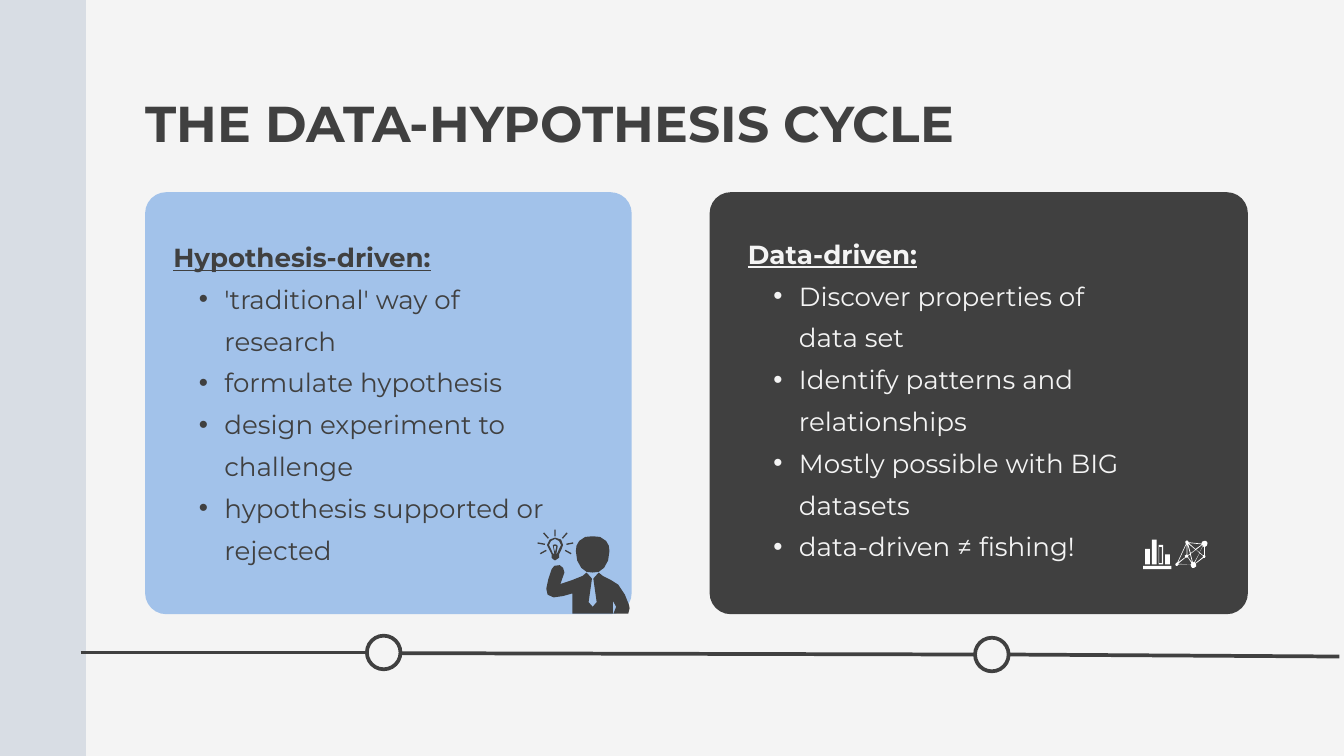
import math

from lxml import etree
from pptx import Presentation
from pptx import util as u
from pptx.dml.color import RGBColor
from pptx.enum import shapes, text
from pptx.oxml.ns import qn

DARK, LIGHT, BLUE, WHITE, BAND = "404040", "F4F4F4", "A2C2EA", "FFFFFF", "D3D9E2"
FONT = "Montserrat"
MSO = shapes.MSO_SHAPE


def rgb(color):
    return RGBColor.from_string(color)


def bar(left, top, right, bottom):
    return [(left, top), (right, top), (right, bottom), (left, bottom)]


def ray(start, end, half=0.01):
    """Thin four-cornered stroke between two points."""
    (x1, y1), (x2, y2) = start, end
    size = math.hypot(x2 - x1, y2 - y1)
    dx, dy = half * (y1 - y2) / size, half * (x2 - x1) / size
    return [(x1 + dx, y1 + dy), (x2 + dx, y2 + dy), (x2 - dx, y2 - dy), (x1 - dx, y1 - dy)]


def turn(point, center, degrees):
    a = math.radians(degrees)
    dx, dy = point[0] - center[0], point[1] - center[1]
    return (center[0] + dx * math.cos(a) - dy * math.sin(a),
            center[1] + dx * math.sin(a) + dy * math.cos(a))


class Deck:
    """Holds the presentation, its current slide and the shared style."""

    def __init__(self, width, height):
        self.prs = Presentation()
        self.prs.slide_width, self.prs.slide_height = u.Inches(width), u.Inches(height)

    def add_slide(self, background):
        self.s = self.prs.slides.add_slide(self.prs.slide_layouts[5])
        fill = self.s.background.fill
        fill.solid()
        fill.fore_color.rgb = rgb(background)

    def paint(self, sp, fill=None, line=None, weight=1, alpha=None):
        sp.shadow.inherit = False
        if fill:
            sp.fill.solid()
            sp.fill.fore_color.rgb = rgb(fill)
        else:
            sp.fill.background()
        if alpha:
            clr = sp.fill._xPr.find(".//" + qn("a:srgbClr"))
            etree.SubElement(clr, qn("a:alpha"), val=str(alpha * 1000))
        if line:
            sp.line.color.rgb = rgb(line)
            sp.line.width = u.Pt(weight)
        else:
            sp.line.fill.background()

    def shape(self, kind, box, corner=None, **style):
        sp = self.s.shapes.add_shape(kind, *map(u.Inches, box))
        if corner is not None:
            sp.adjustments[0] = corner
        self.paint(sp, **style)

    def icon(self, contours, fill):
        """One freeform of several contours; inner contours are holes."""
        paths = [[(u.Inches(x), u.Inches(y)) for x, y in c] for c in contours]
        builder = self.s.shapes.build_freeform(*paths[0][0])
        for i, pts in enumerate(paths):
            if i:
                builder.move_to(*pts[0])
            builder.add_line_segments(pts[1:], close=True)
        sp = builder.convert_to_shape()
        self.paint(sp, fill=fill)
        return sp

    def line(self, start, end, color, weight):
        cx = self.s.shapes.add_connector(
            shapes.MSO_CONNECTOR.STRAIGHT, *map(u.Inches, (*start, *end)))
        cx.line.color.rgb = rgb(color)
        cx.line.width = u.Pt(weight)
        etree.SubElement(cx._element.spPr, qn("a:effectLst"))

    def frame(self, sp):
        """Strip the margins of a text shape and return its text frame."""
        tf = sp.text_frame
        tf.word_wrap = True
        tf.auto_size = text.MSO_AUTO_SIZE.NONE
        tf.vertical_anchor = text.MSO_ANCHOR.TOP
        tf.margin_left = tf.margin_right = tf.margin_top = tf.margin_bottom = 0
        return tf

    def format(self, p, size, color, spacing, bold=False, underline=False):
        p.alignment = text.PP_ALIGN.LEFT
        p.line_spacing = u.Pt(spacing)
        for r in p.runs:
            r.font.name, r.font.size = FONT, u.Pt(size)
            r.font.bold, r.font.underline = bold, underline
            r.font.color.rgb = rgb(color)

    def title(self, words, box):
        sp = self.s.shapes.title
        sp.left, sp.top, sp.width, sp.height = map(u.Inches, box)
        p = self.frame(sp).paragraphs[0]
        p.text = words
        self.format(p, 54, DARK, 78.1, bold=True)

    def bullet_list(self, heading, items, box, color):
        tf = self.frame(self.s.shapes.add_textbox(*map(u.Inches, box)))
        p = tf.paragraphs[0]
        p.text = heading
        self.format(p, 28, color, 50.4, bold=True, underline=True)
        for item in items:
            p = tf.add_paragraph()
            p.text = item
            p.level = 1
            pPr = p._p.get_or_add_pPr()
            pPr.set("marL", str(u.Inches(0.76)))
            pPr.set("indent", str(u.Inches(-0.38)))
            etree.SubElement(pPr, qn("a:buFont"), typeface="Arial")
            etree.SubElement(pPr, qn("a:buChar"), char="•")
            self.format(p, 28, color, 44.8)


def draw_thinker(deck):
    body = [
        (9.36, 9), (9.3, 8.85), (9.2, 8.7), (9.09, 8.63), (8.97, 8.57), (8.91, 8.52),
        (8.83, 8.61), (8.88, 8.96), (8.82, 9.03), (8.76, 8.96), (8.81, 8.61),
        (8.73, 8.52), (8.67, 8.57), (8.52, 8.63), (8.34, 8.69), (8.4, 8.52),
        (8.38, 8.45), (8.33, 8.41), (8.25, 8.42), (8.21, 8.47), (8.16, 8.62),
        (8.13, 8.76), (8.15, 8.85), (8.24, 8.89), (8.38, 8.87), (8.52, 8.83),
        (8.52, 9.13), (9.12, 9.13), (9.12, 8.94), (9.17, 9.03), (9.13, 9.13),
        (9.35, 9.13), (9.37, 9.05)]
    cheek = [(8.82, 7.98), (8.93, 7.99), (9.02, 8.05), (9.06, 8.12), (9.07, 8.2),
             (9.05, 8.34), (8.99, 8.45), (8.91, 8.51), (8.82, 8.52)]
    head = cheek + [(2 * 8.82 - x, y) for x, y in cheek[-2:0:-1]]
    bulb = [(8.18, 8.19), (8.21, 8.25), (8.21, 8.3), (8.23, 8.32), (8.26, 8.34),
            (8.29, 8.32), (8.32, 8.3), (8.32, 8.25), (8.35, 8.19), (8.38, 8.11),
            (8.35, 8.03), (8.26, 8), (8.18, 8.03), (8.14, 8.11)]
    glass = [(8.26, 8.02), (8.32, 8.05), (8.35, 8.11), (8.32, 8.17), (8.29, 8.24),
             (8.28, 8.24), (8.3, 8.13), (8.29, 8.11), (8.26, 8.1), (8.23, 8.11),
             (8.23, 8.13), (8.25, 8.24), (8.23, 8.24), (8.2, 8.17), (8.17, 8.11),
             (8.2, 8.05)]
    filament = [(8.24, 8.13), (8.26, 8.12), (8.28, 8.13), (8.26, 8.22)]
    rays = [((8.26, 7.88), (8.26, 7.98)), ((8.44, 7.93), (8.37, 8.01)),
            ((8.53, 8.08), (8.43, 8.1)), ((8.5, 8.24), (8.41, 8.19)),
            ((8.04, 8.24), (8.13, 8.19)), ((8, 8.08), (8.11, 8.1)),
            ((8.09, 7.93), (8.16, 8.01))]
    deck.icon([body, head, bulb, glass, filament] + [ray(*ends) for ends in rays], DARK)


def draw_bar_icon(deck):
    bars = [bar(17.04 + 0.1 * i, top, 17.11 + 0.1 * i, 8.4)
            for i, top in enumerate((8.17, 8.03, 8.11, 8.25))]
    hollow = bar(17.25, 8.14, 17.29, 8.38)
    deck.icon(bars + [hollow, bar(17.01, 8.42, 17.43, 8.47)], WHITE)


def draw_network_icon(deck, tilt=-12.5):
    web = [(17.92, 8.05), (17.89, 8.06), (17.88, 8.09), (17.69, 8.07), (17.68, 8.05),
           (17.66, 8.04), (17.64, 8.06), (17.64, 8.08), (17.65, 8.09), (17.52, 8.37),
           (17.5, 8.38), (17.49, 8.4), (17.5, 8.42), (17.52, 8.42), (17.54, 8.4),
           (17.72, 8.4), (17.72, 8.42), (17.74, 8.45), (17.77, 8.45), (17.8, 8.43),
           (17.8, 8.4), (17.79, 8.39), (17.91, 8.3), (17.93, 8.3), (17.94, 8.28),
           (17.93, 8.26), (17.93, 8.14), (17.96, 8.12), (17.97, 8.08), (17.95, 8.05)]
    gaps = [
        [(17.68, 8.09), (17.79, 8.18), (17.72, 8.23)],
        [(17.67, 8.1), (17.71, 8.24), (17.68, 8.26), (17.67, 8.26)],
        [(17.68, 8.27), (17.71, 8.25), (17.74, 8.36), (17.74, 8.37), (17.68, 8.29)],
        [(17.77, 8.37), (17.75, 8.36), (17.72, 8.24), (17.8, 8.18), (17.85, 8.23)],
        [(17.8, 8.18), (17.89, 8.11), (17.9, 8.12), (17.85, 8.22)],
        [(17.89, 8.1), (17.79, 8.17), (17.69, 8.08), (17.88, 8.1)],
        [(17.66, 8.09), (17.66, 8.25), (17.63, 8.27), (17.64, 8.29), (17.53, 8.37)],
        [(17.53, 8.39), (17.64, 8.3), (17.66, 8.3), (17.68, 8.3), (17.73, 8.38),
         (17.72, 8.4)],
        [(17.79, 8.38), (17.78, 8.37), (17.85, 8.23), (17.9, 8.27), (17.9, 8.29)],
        [(17.92, 8.26), (17.9, 8.26), (17.85, 8.22), (17.9, 8.13), (17.92, 8.14)]]
    sp = deck.icon([[turn(pt, (17.73, 8.24), -tilt) for pt in c] for c in [web] + gaps],
                   WHITE)
    sp.rotation = tilt


def main():
    deck = Deck(20, 11.25)
    deck.add_slide(LIGHT)
    for left, width, color in ((2.16, 7.24, BLUE), (10.56, 8.01, DARK)):
        deck.shape(MSO.ROUNDED_RECTANGLE, (left, 2.86, width, 6.28), 0.05, fill=color)
    deck.title("THE DATA-HYPOTHESIS CYCLE", (2.16, 1.18, 13.62, 1.04))
    deck.bullet_list("Hypothesis-driven:", [
        "'traditional' way of research", "formulate hypothesis",
        "design experiment to challenge", "hypothesis supported or rejected",
    ], (2.58, 3.36, 5.79, 5.06), DARK)
    deck.bullet_list("Data-driven:", [
        "Discover properties of data set", "Identify patterns and relationships",
        "Mostly possible with BIG datasets", "data-driven ≠ fishing!",
    ], (11.13, 3.31, 5.74, 5.09), LIGHT)
    deck.shape(MSO.RECTANGLE, (0, 0, 1.28, 11.25), fill=BAND, alpha=84)

    for left, top in ((5.46, 9.46), (14.51, 9.49)):
        deck.shape(MSO.OVAL, (left, top, 0.5, 0.5), line=DARK, weight=4)
    for start, end in (((1.2, 9.71), (5.46, 9.71)), ((5.95, 9.72), (14.51, 9.74)),
                       ((15.01, 9.74), (19.93, 9.77))):
        deck.line(start, end, DARK, 4)

    draw_thinker(deck)
    draw_bar_icon(deck)
    draw_network_icon(deck)
    deck.prs.save("out.pptx")


if __name__ == "__main__":
    main()
